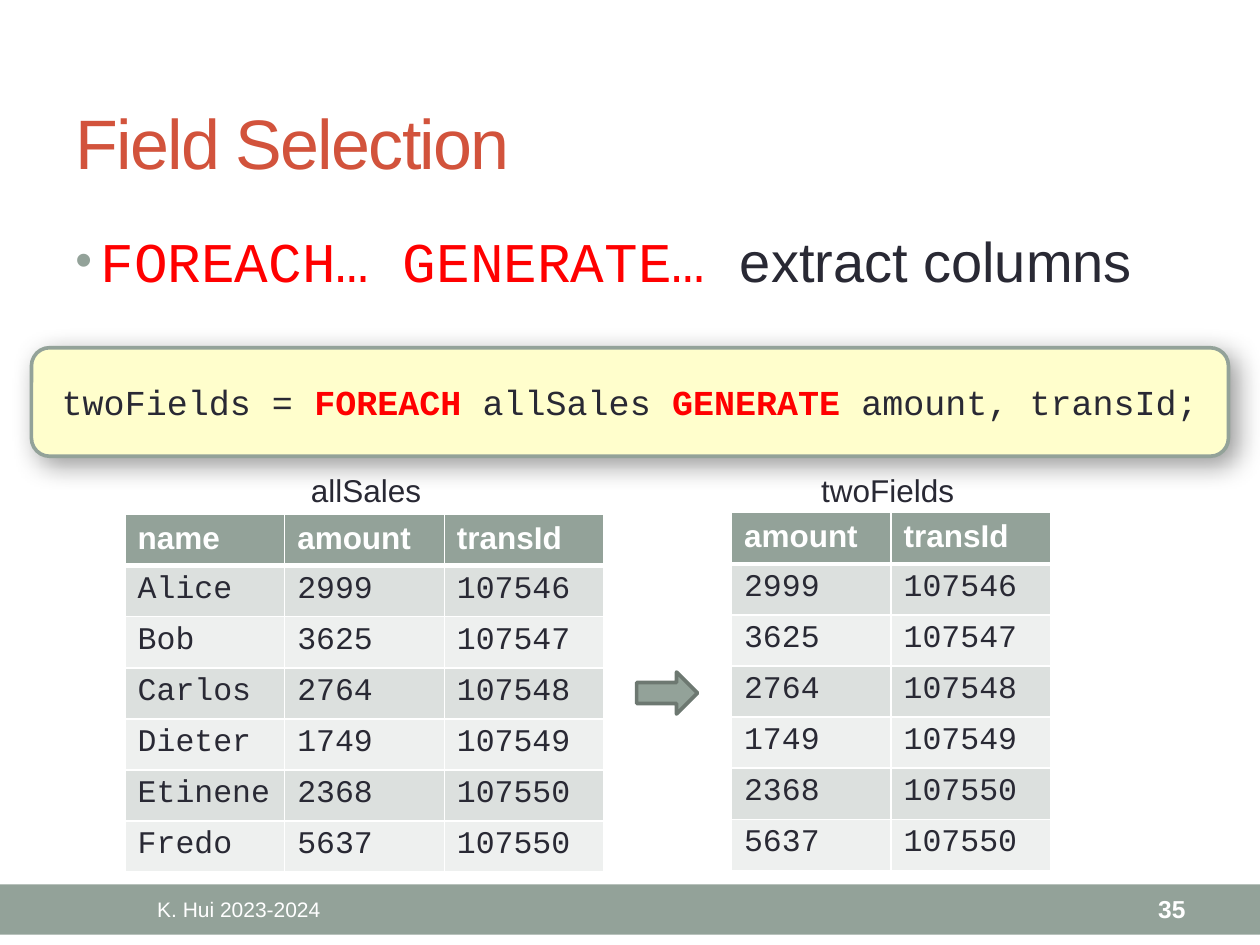
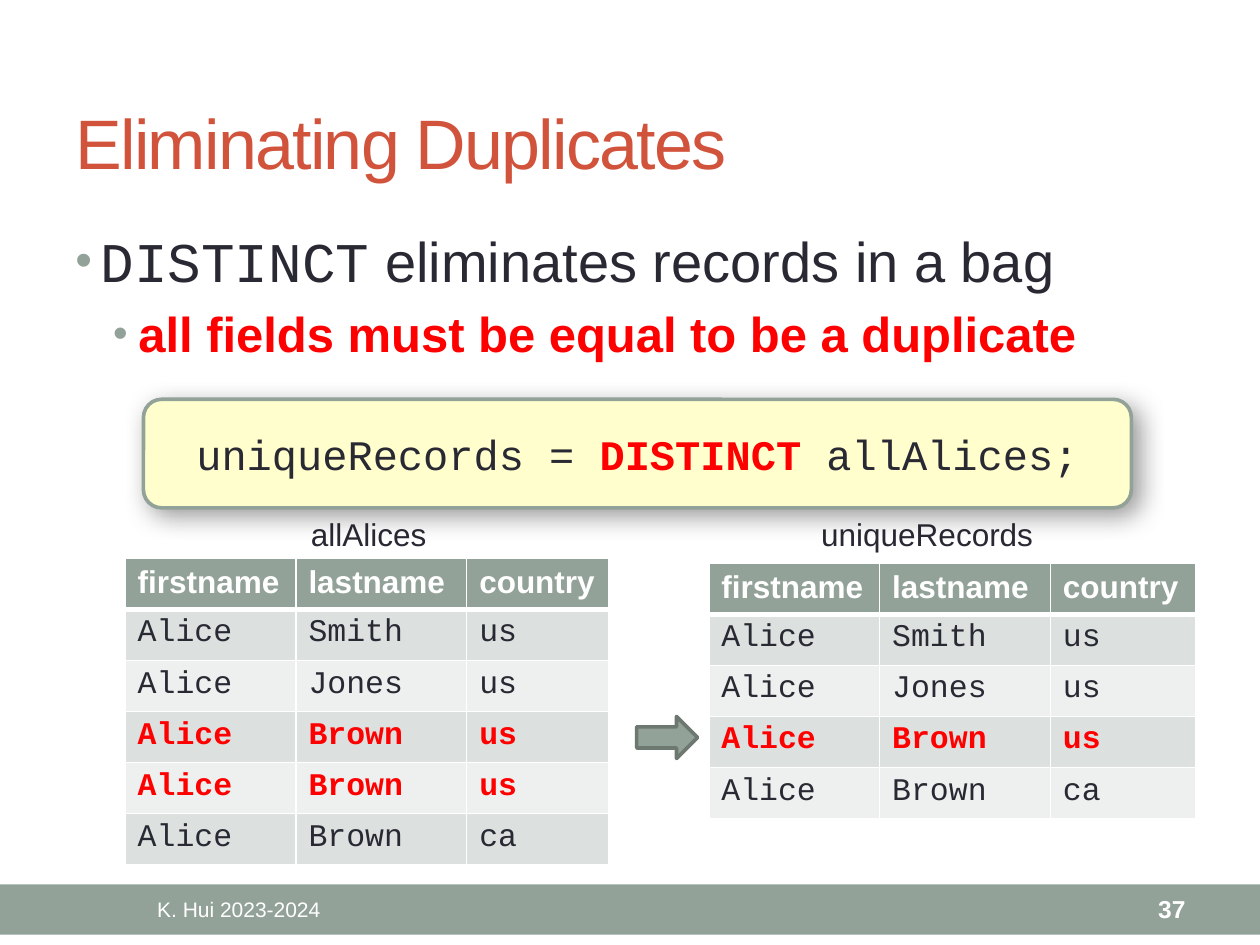
from lxml import etree
from pptx import Presentation, oxml
from pptx import util as u
from pptx.dml.color import RGBColor
from pptx.enum import shapes, text
from pptx.oxml import ns

Pt = u.Pt
SAGE = RGBColor(0x93, 0xA2, 0x99)
SAGE_DARK = RGBColor(0x6D, 0x78, 0x71)
RUST = RGBColor(0xD2, 0x53, 0x3C)
INK = RGBColor(0x29, 0x29, 0x34)
RED = RGBColor(0xFF, 0x00, 0x00)
WHITE = RGBColor(0xFF, 0xFF, 0xFF)
CREAM = RGBColor(0xFF, 0xFE, 0xCC)
ROW_FILLS = [RGBColor(0xDC, 0xE0, 0xDE), RGBColor(0xEE, 0xF0, 0xEF)]
SANS, MONO = "Arial", "Courier New"
ROW_HEIGHT = 29.2
OUTLINE = 2.08
LEFT, RIGHT, CENTER = text.PP_ALIGN.LEFT, text.PP_ALIGN.RIGHT, text.PP_ALIGN.CENTER
MIDDLE, TOP = text.MSO_ANCHOR.MIDDLE, text.MSO_ANCHOR.TOP
DRAWING = ns.nsdecls("a")
SHADOW = (f'<a:effectLst {DRAWING}><a:outerShdw blurRad="{Pt(15)}" dist="{Pt(5)}" dir="2700000" '
          'algn="tl" rotWithShape="0"><a:srgbClr val="000000"><a:alpha val="40000"/></a:srgbClr>'
          '</a:outerShdw></a:effectLst>')
BULLET = (f'<a:buClr {DRAWING}><a:srgbClr val="{SAGE}"/></a:buClr>',
          f'<a:buSzPct {DRAWING} val="85000"/>',
          f'<a:buFont {DRAWING} typeface="{SANS}"/>',
          f'<a:buChar {DRAWING} char="\u2022"/>')

SLIDES = [
    {
        "title": "Field Selection",
        "number": "35",
        "bullets": [(32, 14.4, [("FOREACH… GENERATE… ", MONO, RED, False),
                                ("extract columns", SANS, INK, False)])],
        "body_height": 64,
        "tables": [
            (71.5, 294, [91.2] * 3, ["name", "amount", "transId"],
             [["Alice", "2999", "107546"], ["Bob", "3625", "107547"],
              ["Carlos", "2764", "107548"], ["Dieter", "1749", "107549"],
              ["Etinene", "2368", "107550"], ["Fredo", "5637", "107550"]], []),
            (418, 293, [91.2] * 2, ["amount", "transId"],
             [["2999", "107546"], ["3625", "107547"], ["2764", "107548"],
              ["1749", "107549"], ["2368", "107550"], ["5637", "107550"]], []),
        ],
        "labels": [("allSales", 78.5), ("twoFields", 91.5)],
        "label_top": 265.6,
        "arrow_top": 384,
        "code_box": (18, 198.7, 684),
        "code_size": 20,
        "code": [("twoFields = ", False), ("FOREACH ", True), ("allSales ", False),
                 ("GENERATE", True), (" amount, transId;", False)],
    },
    {
        "title": "Eliminating Duplicates",
        "number": "37",
        "bullets": [(32, 14.4, [("DISTINCT", MONO, INK, False),
                                (" eliminates records in a bag", SANS, INK, False)]),
                    (28, 36, [("all fields must be equal to be a duplicate", SANS, RED, True)])],
        "body_height": 102,
        "tables": [
            (71.5, 319, [97.6, 97.6, 81.4], ["firstname", "lastname", "country"],
             [["Alice", "Smith", "us"], ["Alice", "Jones", "us"], ["Alice", "Brown", "us"],
              ["Alice", "Brown", "us"], ["Alice", "Brown", "ca"]], [3, 4]),
            (405, 321.8, [97.6, 97.6, 82.8], ["firstname", "lastname", "country"],
             [["Alice", "Smith", "us"], ["Alice", "Jones", "us"], ["Alice", "Brown", "us"],
              ["Alice", "Brown", "ca"]], [3]),
        ],
        "labels": [("allAlices", 81.4), ("uniqueRecords", 136.8)],
        "label_top": 291,
        "arrow_top": 409.4,
        "code_box": (82, 228.2, 564.5),
        "code_size": 24,
        "code": [("uniqueRecords = ", False), ("DISTINCT ", True), ("allAlices;", False)],
    },
]


def add_run(paragraph, words, size, font=SANS, color=INK, bold=False):
    """Append one formatted run to a paragraph and return it."""
    run = paragraph.add_run()
    run.text = words
    run.font.size = Pt(size)
    run.font.name = font
    run.font.color.rgb = color
    run.font.bold = bold
    return run


def add_text_box(slide, left, top, width, height, anchor=TOP, align=LEFT, wrap=True):
    """Add an empty text box and return its text frame."""
    frame = slide.shapes.add_textbox(Pt(left), Pt(top), Pt(width), Pt(height)).text_frame
    frame.word_wrap = wrap
    frame.vertical_anchor = anchor
    frame.paragraphs[0].alignment = align
    return frame


presentation = Presentation()
presentation.slide_width, presentation.slide_height = Pt(720), Pt(540)

for content in SLIDES:
    slide = presentation.slides.add_slide(presentation.slide_layouts[6])

    # Footer band, title, author and page number
    band = slide.shapes.add_shape(shapes.MSO_SHAPE.RECTANGLE, Pt(0), Pt(505.4), Pt(720), Pt(28.8))
    band.shadow.inherit = False
    band.fill.solid()
    band.fill.fore_color.rgb = SAGE
    band.line.fill.background()

    title = add_text_box(slide, 36, 42, 648, 78, MIDDLE)
    run = add_run(title.paragraphs[0], content["title"], 40, color=RUST)
    run.font._element.set("spc", "-100")
    author = add_text_box(slide, 36, 506.4, 201, 26, MIDDLE, CENTER)
    add_run(author.paragraphs[0], "K. Hui 2023-2024", 12, color=WHITE)
    number = add_text_box(slide, 600.5, 506.4, 84, 26, MIDDLE, RIGHT)
    add_run(number.paragraphs[0], content["number"], 14, color=WHITE, bold=True)

    # Bullets
    body = add_text_box(slide, 36, 126, 648, content["body_height"])
    for index, (size, indent, runs) in enumerate(content["bullets"]):
        paragraph = body.add_paragraph() if index else body.paragraphs[0]
        paragraph.level = index
        paragraph.space_before = Pt(0.2 * size)
        properties = paragraph._p.get_or_add_pPr()
        properties.set("marL", str(Pt(indent)))
        properties.set("indent", str(-Pt(14.4)))
        for markup in BULLET:
            properties.append(oxml.parse_xml(markup))
        for words, font, color, bold in runs:
            add_run(paragraph, words, size, font, color, bold)

    # Input and output tables
    for left, top, widths, header, records, marked_rows in content["tables"]:
        rows = [header] + records
        table = slide.shapes.add_table(len(rows), len(widths), Pt(left), Pt(top),
                                       Pt(sum(widths)), Pt(ROW_HEIGHT * len(rows))).table
        for column, width in zip(table.columns, widths):
            column.width = Pt(width)
        for row_index, values in enumerate(rows):
            table.rows[row_index].height = Pt(ROW_HEIGHT)
            is_header = row_index == 0
            marked = row_index in marked_rows
            for column_index, value in enumerate(values):
                cell = table.cell(row_index, column_index)
                cell.fill.solid()
                cell.fill.fore_color.rgb = SAGE if is_header else ROW_FILLS[(row_index - 1) % 2]
                paragraph = cell.text_frame.paragraphs[0]
                if is_header:
                    add_run(paragraph, value, 18, SANS, WHITE, True)
                else:
                    add_run(paragraph, value, 18, MONO, RED if marked else INK, marked)
                borders = {"lnL": 1, "lnR": 1, "lnT": 3 if row_index == 1 else 1,
                           "lnB": 3 if is_header else 1}
                for position, (side, weight) in enumerate(borders.items()):
                    border = etree.Element(ns.qn(f"a:{side}"), w=str(Pt(weight)))
                    fill = etree.SubElement(border, ns.qn("a:solidFill"))
                    etree.SubElement(fill, ns.qn("a:srgbClr"), val=str(WHITE))
                    cell._tc.get_or_add_tcPr().insert(position, border)

    for left, (name, width) in zip([170.6, 462.2], content["labels"]):
        label = add_text_box(slide, left, content["label_top"], width, 29, wrap=False)
        label.auto_size = text.MSO_AUTO_SIZE.SHAPE_TO_FIT_TEXT
        add_run(label.paragraphs[0], name, 18)

    arrow = slide.shapes.add_shape(shapes.MSO_SHAPE.RIGHT_ARROW, Pt(363.8),
                                   Pt(content["arrow_top"]), Pt(34.8), Pt(24))
    arrow.shadow.inherit = False
    arrow.fill.solid()
    arrow.fill.fore_color.rgb = SAGE
    arrow.line.color.rgb = SAGE_DARK
    arrow.line.width = Pt(OUTLINE)

    # Code statement
    left, top, width = content["code_box"]
    code_box = slide.shapes.add_shape(shapes.MSO_SHAPE.ROUNDED_RECTANGLE,
                                      Pt(left), Pt(top), Pt(width), Pt(62))
    code_box.fill.solid()
    code_box.fill.fore_color.rgb = CREAM
    code_box.line.color.rgb = SAGE
    code_box.line.width = Pt(OUTLINE)
    code_box._element.spPr.append(oxml.parse_xml(SHADOW))
    frame = code_box.text_frame
    frame.word_wrap = True
    frame.vertical_anchor = MIDDLE
    frame.paragraphs[0].alignment = CENTER
    for words, keyword in content["code"]:
        add_run(frame.paragraphs[0], words, content["code_size"], MONO,
                RED if keyword else INK, keyword)

presentation.save("out.pptx")
